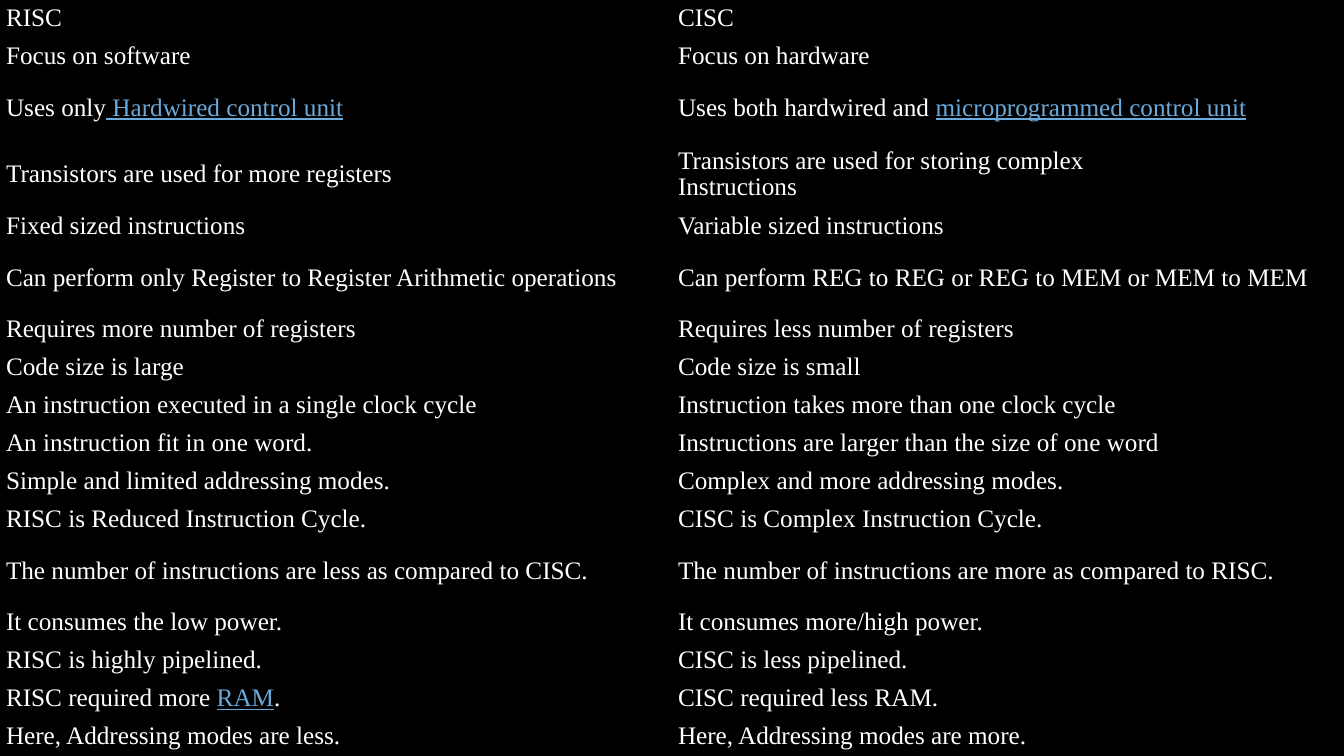
import pptx
import pptx.dml.color
import pptx.enum.text
import pptx.oxml.ns
import pptx.util

Inches = pptx.util.Inches
BLACK = pptx.dml.color.RGBColor(0x00, 0x00, 0x00)
WHITE = pptx.dml.color.RGBColor(0xFF, 0xFF, 0xFF)
LINK_BLUE = pptx.dml.color.RGBColor(0x6B, 0xA9, 0xDA)
PLAIN_TABLE_STYLE = "{2D5ABB26-0587-4C30-8999-92F81FD0307C}"

# Within a cell, "|" switches between plain and underlined link text.
COMPARISON = [
    ("RISC", "CISC"),
    ("Focus on software", "Focus on hardware"),
    ("Uses only| Hardwired control unit",
     "Uses both hardwired and |microprogrammed control unit"),
    ("Transistors are used for more registers",
     "Transistors are used for storing complex\nInstructions"),
    ("Fixed sized instructions", "Variable sized instructions"),
    ("Can perform only Register to Register Arithmetic operations",
     "Can perform REG to REG or REG to MEM or MEM to MEM"),
    ("Requires more number of registers", "Requires less number of registers"),
    ("Code size is large", "Code size is small"),
    ("An instruction executed in a single clock cycle",
     "Instruction takes more than one clock cycle"),
    ("An instruction fit in one word.",
     "Instructions are larger than the size of one word"),
    ("Simple and limited addressing modes.", "Complex and more addressing modes."),
    ("RISC is Reduced Instruction Cycle.", "CISC is Complex Instruction Cycle."),
    ("The number of instructions are less as compared to CISC.",
     "The number of instructions are more as compared to RISC."),
    ("It consumes the low power.", "It consumes more/high power."),
    ("RISC is highly pipelined.", "CISC is less pipelined."),
    ("RISC required more |RAM|.", "CISC required less RAM."),
    ("Here, Addressing modes are less.", "Here, Addressing modes are more."),
]
TALL_ROWS = {2: 0.65, 3: 0.66, 5: 0.65, 12: 0.65}

deck = pptx.Presentation()
deck.slide_width = Inches(13.33)
deck.slide_height = Inches(7.5)
page = deck.slides.add_slide(deck.slide_layouts[6])
page.background.fill.solid()
page.background.fill.fore_color.rgb = BLACK

frame = page.shapes.add_table(
    len(COMPARISON), 2, 0, 0, deck.slide_width, deck.slide_height)
table = frame.table
table.first_row = False
table.horz_banding = False
style_id = next(frame._element.iter(pptx.oxml.ns.qn("a:tableStyleId")))
style_id.text = PLAIN_TABLE_STYLE

short_height = (7.5 - sum(TALL_ROWS.values())) / (len(COMPARISON) - len(TALL_ROWS))
for row_index, texts in enumerate(COMPARISON):
    table.rows[row_index].height = Inches(TALL_ROWS.get(row_index, short_height))
    for column_index, text in enumerate(texts):
        cell = table.cell(row_index, column_index)
        cell.fill.background()
        cell.vertical_anchor = pptx.enum.text.MSO_ANCHOR.MIDDLE
        cell.margin_left = cell.margin_right = Inches(0.06)
        cell.margin_top = cell.margin_bottom = Inches(0.03)
        para = cell.text_frame.paragraphs[0]
        para.line_spacing = 0.93
        for part_index, part in enumerate(text.split("|")):
            is_link = part_index % 2 == 1
            for line_index, line in enumerate(part.split("\n")):
                if line_index:
                    para.add_line_break()
                span = para.add_run()
                span.text = line
                span.font.name = "Times New Roman"
                span.font.size = pptx.util.Pt(18)
                span.font.color.rgb = LINK_BLUE if is_link else WHITE
                span.font.underline = is_link

deck.save("out.pptx")
